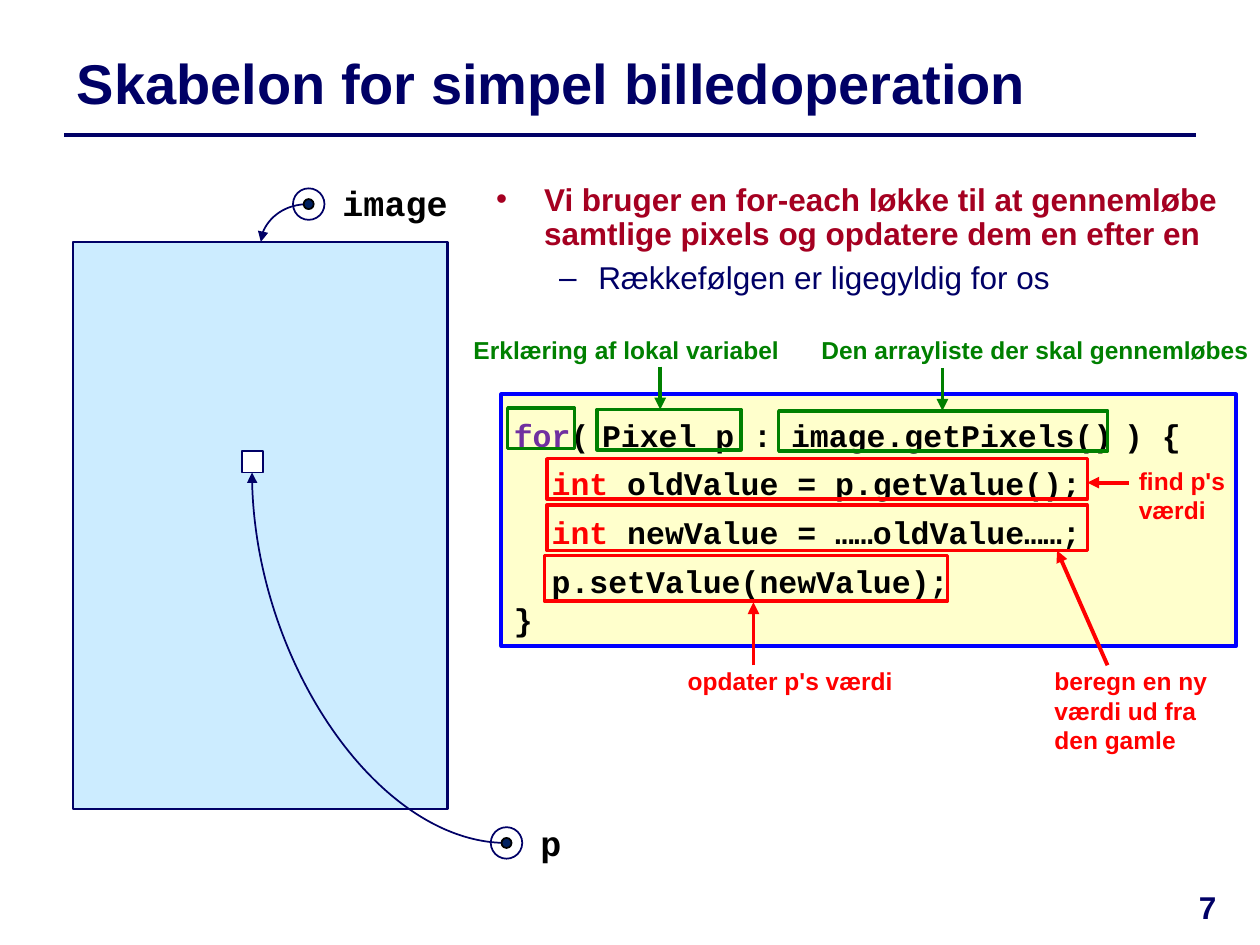
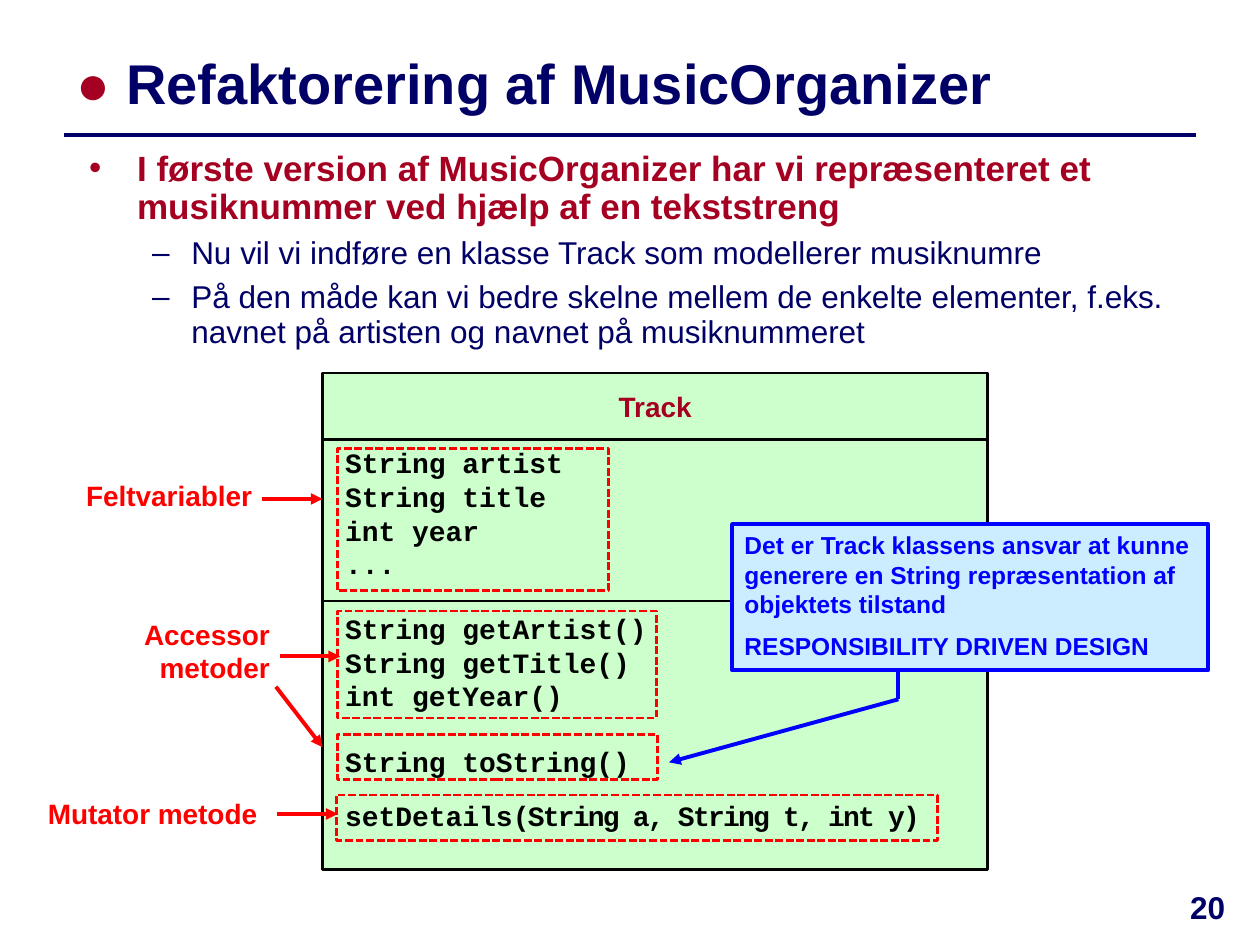
import pptx
import pptx.util
import pptx.dml.color
import pptx.enum.dml
import pptx.enum.shapes
import pptx.enum.text
import pptx.oxml.ns
import lxml.etree

Pt = pptx.util.Pt
Align = pptx.enum.text.PP_ALIGN
Kind = pptx.enum.shapes.MSO_SHAPE
Link = pptx.enum.shapes.MSO_CONNECTOR
qn = pptx.oxml.ns.qn


class Theme:
    navy, wine, red, green, blue = "000066", "A50021", "FF0000", "008000", "0000FF"
    black, white, plum, ink = "000000", "FFFFFF", "7030A0", "002060"
    sky, cream, mint = "CCECFF", "FFFFCC", "CCFFCC"
    sans, mono = "Arial", "Courier New"
    head, name, body, label, note = 32, 20, 18, 16, 14
    thin, rule, edge, frame, bold = 1, 2, 1.5, 2, 2.25
    marks = [("•", 0.38, -0.38), ("–", 0.81, -0.31)]


def tone(code):
    return pptx.dml.color.RGBColor.from_string(code)


def put(thing, form):
    for key, value in form.items():
        setattr(thing, key, value)


class Deck:
    cols, rows = 100, 75

    def __init__(self, theme):
        self.theme = theme
        self.show = pptx.Presentation()
        put(self.show, {"slide_width": pptx.util.Inches(10),
                        "slide_height": pptx.util.Inches(7.5)})
        self.slide = None

    def x(self, col):
        return round(self.show.slide_width * col / self.cols)

    def y(self, row):
        return round(self.show.slide_height * row / self.rows)

    def area(self, left, top, width, height):
        return self.x(left), self.y(top), self.x(width), self.y(height)

    def page(self, title, number, width):
        t = self.theme
        self.slide = self.show.slides.add_slide(self.show.slide_layouts[5])
        head = self.slide.shapes.title
        sides = ("left", "top", "width", "height")
        put(head, dict(zip(sides, self.area(5.1, 2.8, width, 7.5))))
        self.fill(head.text_frame, [({"alignment": Align.LEFT}, title)],
                  size=t.head, color=t.navy)
        head.text_frame.vertical_anchor = pptx.enum.text.MSO_ANCHOR.MIDDLE
        self.line((5.1, 10.7), (94.9, 10.7), t.navy, t.rule, tip=False)
        self.text((91.7, 70, 8.3, 5), number, t.navy, t.body, align=Align.CENTER)

    def fill(self, frame, paras, **base):
        base = {"name": self.theme.sans, "bold": True, **base}
        for i, (form, runs) in enumerate(paras):
            para = frame.paragraphs[0] if i == 0 else frame.add_paragraph()
            put(para, {"space_before": Pt(0), **form})
            for words, extra in runs:
                self.span(para, words, {**base, **extra})

    def span(self, para, words, form):
        span = para.add_run()
        span.text = words
        form = dict(form)
        span.font.color.rgb = tone(form.pop("color"))
        if "gap" in form:
            span.font._element.set("spc", str(form.pop("gap") * 100))
        put(span.font, {**form, "size": Pt(form["size"])})

    def text(self, area, words, color, size, align=Align.LEFT, wrap=True, face=None):
        frame = self.slide.shapes.add_textbox(*self.area(*area)).text_frame
        frame.word_wrap = wrap
        self.fill(frame, [({"alignment": align}, [(words, {})])],
                  color=color, size=size, name=face or self.theme.sans)

    def points(self, area, size, items):
        t = self.theme
        frame = self.slide.shapes.add_textbox(*self.area(*area)).text_frame
        frame.word_wrap = True
        looks = [{"size": size, "color": t.wine},
                 {"size": t.body, "color": t.navy, "bold": False}]
        paras = [({"level": level, "line_spacing": 0.9,
                   "space_before": Pt(6 * level)}, [(words, looks[level])])
                 for level, words in items]
        self.fill(frame, paras)
        for para, (level, _) in zip(frame.paragraphs, items):
            mark, left, hang = t.marks[level]
            props = para._p.get_or_add_pPr()
            props.set("marL", str(pptx.util.Inches(left)))
            props.set("indent", str(pptx.util.Inches(hang)))
            lxml.etree.SubElement(props, qn("a:buFont"), typeface=t.sans)
            lxml.etree.SubElement(props, qn("a:buChar"), char=mark)

    def box(self, area, edge, width, fill=None, kind=Kind.RECTANGLE, dash=False,
            paras=(), inset=1, **font):
        shape = self.slide.shapes.add_shape(kind, *self.area(*area))
        shape.shadow.inherit = False
        if fill:
            shape.fill.solid()
            shape.fill.fore_color.rgb = tone(fill)
        else:
            shape.fill.background()
        shape.line.color.rgb = tone(edge)
        shape.line.width = Pt(width)
        if dash:
            shape.line.dash_style = pptx.enum.dml.MSO_LINE.SQUARE_DOT
        if paras:
            put(shape.text_frame, {
                "word_wrap": True, "margin_left": self.x(inset),
                "vertical_anchor": pptx.enum.text.MSO_ANCHOR.TOP})
            paras = [({"alignment": Align.LEFT, **form}, runs) for form, runs in paras]
            self.fill(shape.text_frame, paras, **font)

    def line(self, start, end, color, width, tip=True, curve=False):
        kind = Link.CURVE if curve else Link.STRAIGHT
        line = self.slide.shapes.add_connector(
            kind, self.x(start[0]), self.y(start[1]), self.x(end[0]), self.y(end[1]))
        line.line.color.rgb = tone(color)
        line.line.width = Pt(width)
        props = line._element.spPr
        if tip:
            lxml.etree.SubElement(line.line._get_or_add_ln(), qn("a:tailEnd"),
                                  type="triangle")
        lxml.etree.SubElement(props, qn("a:effectLst"))
        if curve:
            props.find(qn("a:prstGeom")).set("prst", "curvedConnector2")
            put(props.xfrm, {"rot": 180.0, "flipH": False,
                             "flipV": not props.xfrm.flipV})

    def ring(self, col, row):
        t = self.theme
        for size, edge, fill in ((2.5, t.navy, None), (0.8, t.black, t.ink)):
            self.box((col - size / 2, row - size / 2, size, size),
                     edge, t.thin, fill, Kind.OVAL)


def loop_page(deck):
    t = deck.theme
    deck.page([("Skabelon for simpel billedoperation", {})], "7", 92.1)
    red, dark = {"color": t.red}, {}
    code = [
        ({"line_spacing": 1.4}, [
            ("for", {"color": t.plum}), ("(", dark), (" ", {"size": 12}),
            ("Pixel p : image.getPixels()", dark), (" ", {"size": 11}), (") {", dark)]),
        ({"space_before": Pt(6)}, [
            ("  ", dark), ("int ", red), ("oldValue = p.getValue();", dark)]),
        ({"line_spacing": 1.3}, [
            ("  ", dark), ("int ", red), ("newValue = ……oldValue……;", dark)]),
        ({"line_spacing": 1.3}, [("  p.setValue(newValue);", dark)]),
        ({}, [("}", dark)]),
    ]
    deck.box((39.8, 31.3, 58.3, 20), t.blue, t.bold, t.cream, paras=code,
             name=t.mono, size=t.body, color=t.black)
    deck.box((5.8, 19.2, 29.7, 45), t.navy, t.edge, t.sky)
    deck.points((38.4, 14.1, 61, 11.6), t.body, [
        (0, "Vi bruger en for-each løkke til at gennemløbe samtlige pixels "
            "og opdatere dem en efter en"),
        (1, "Rækkefølgen er ligegyldig for os")])

    deck.box((19.2, 35.8, 1.7, 1.7), t.navy, t.thin, t.white)
    for name, area, spot, goal in (
            ("p", (41.9, 64.7, 3.7, 4.3), (40.2, 66.9), (20, 37.5)),
            ("image", (26.2, 13.9, 10.4, 4.4), (24.5, 16.2), (20.7, 19.2))):
        deck.text(area, name, t.black, t.name, wrap=False, face=t.mono)
        deck.line(spot, goal, t.navy, t.thin, curve=True)
        deck.ring(*spot)

    for color, areas in (
            (t.green, [(40.3, 32.4, 5.3, 3.2), (47.4, 32.5, 11.4, 3.2),
                       (61.8, 32.6, 26.1, 3.2)]),
            (t.red, [(43.4, 36.4, 42.9, 3.2), (43.4, 40.1, 42.9, 3.6),
                     (43.2, 44.1, 32, 3.6)])):
        for area in areas:
            deck.box(area, color, t.frame)
    for color, words, area, start, end in (
            (t.green, "Erklæring af lokal variabel", (36.6, 26.1, 26.4, 3.4),
             (52.4, 29.1), (52.4, 32.5)),
            (t.green, "Den arrayliste der skal gennemløbes", (64.2, 26.1, 36.2, 3.4),
             (74.8, 29.2), (74.8, 32.6)),
            (t.red, "find p's værdi", (89.4, 36.5, 10.4, 5.7),
             (89.6, 38.3), (86.3, 38.3)),
            (t.red, "opdater p's værdi", (53.6, 52.4, 22.1, 3.4),
             (59.8, 52.8), (59.8, 47.8)),
            (t.red, "beregn en ny værdi ud fra den gamle", (82.7, 52.4, 15.7, 8.1),
             (87.9, 52.8), (83.9, 43.7))):
        deck.text(area, words, color, t.note)
        deck.line(start, end, color, t.bold)


def track_page(deck):
    t = deck.theme
    deck.page([("● ", {"color": t.wine}), ("Refaktorering af MusicOrganizer", {})],
              "20", 93.1)
    deck.box((25.6, 29.6, 52.8, 5.3), t.black, t.edge, t.mint,
             paras=[({"alignment": Align.CENTER, "line_spacing": 1.3}, [("Track", {})])],
             size=t.label, color=t.wine)
    code = [({"space_before": Pt(gap)}, [(words, {})]) for gap, words in (
        (0, "String artist"), (0, "String title"), (0, "int year"), (0, "..."),
        (18, "String getArtist()"), (0, "String getTitle()"), (0, "int getYear()"),
        (18, "String toString()"), (12, "setDetails"))]
    code[-1][1].append(("(String a, String t, int y)", {"gap": -1}))
    deck.box((25.6, 34.9, 52.8, 34.1), t.black, t.edge, t.mint, paras=code,
             inset=1.8, name=t.mono, size=t.label, color=t.black)
    deck.line((25.6, 47.7), (78.4, 47.7), t.black, t.edge, tip=False)
    deck.points((6.1, 11.5, 94.1, 18.9), t.name, [
        (0, "I første version af MusicOrganizer har vi repræsenteret et "
            "musiknummer ved hjælp af en tekststreng"),
        (1, "Nu vil vi indføre en klasse Track som modellerer musiknumre"),
        (1, "På den måde kan vi bedre skelne mellem de enkelte elementer, f.eks. "
            "navnet på artisten og navnet på musiknummeret")])

    for area in ((26.8, 35.6, 21.5, 11.3), (26.8, 48.5, 25.3, 8.5),
                 (26.8, 58.3, 25.4, 3.6), (26.7, 63.1, 47.7, 3.6)):
        deck.box(area, t.red, t.edge, dash=True)
    for words, area in (("Feltvariabler", (5.1, 37.5, 15.9, 3.7)),
                        ("Accessor metoder", (5.1, 48.5, 17.3, 6.4)),
                        ("Mutator metode", (2.2, 62.7, 19.2, 3.7))):
        deck.text(area, words, t.red, t.label, align=Align.RIGHT)
    for col, row in ((20.8, 39.6), (22.2, 52.1), (22, 64.6)):
        deck.line((col, row), (col + 4.8, row), t.red, t.bold)
    deck.line((21.9, 54.5), (25.6, 59.3), t.red, t.bold)

    deck.line((71.3, 55.5), (53.1, 60.5), t.blue, t.bold)
    deck.line((71.3, 49.7), (71.3, 55.5), t.blue, t.bold, tip=False)
    deck.box((58.1, 41.6, 37.8, 11.6), t.blue, t.bold, t.sky, paras=[
        ({}, [("Det er Track klassens ansvar at kunne generere en String "
               "repræsentation af objektets tilstand", {})]),
        ({"space_before": Pt(7)}, [("RESPONSIBILITY DRIVEN DESIGN", {})])],
        size=t.note, color=t.blue)


def main():
    deck = Deck(Theme())
    loop_page(deck)
    track_page(deck)
    deck.show.save("out.pptx")


if __name__ == "__main__":
    main()
